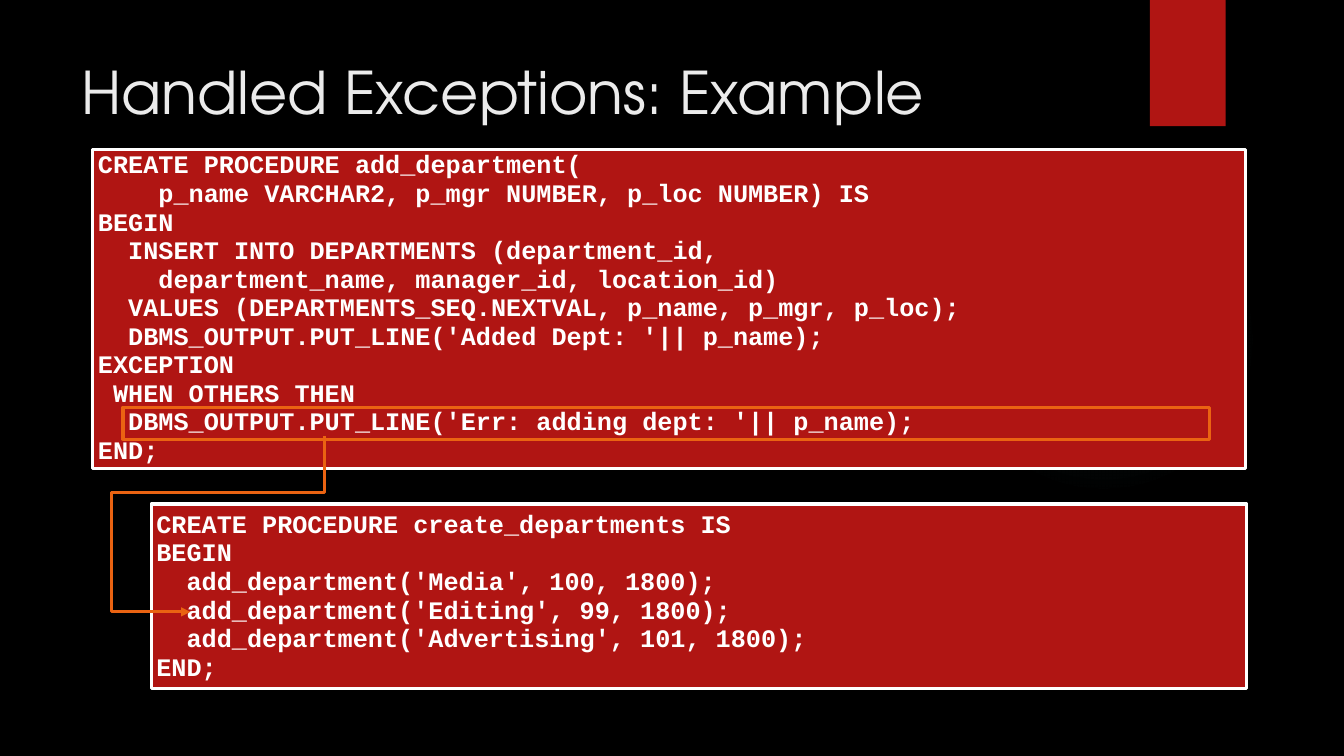
from lxml.etree import SubElement
from pptx import Presentation
from pptx.dml.color import RGBColor
from pptx.enum.shapes import MSO_SHAPE as Preset
from pptx.enum.text import MSO_ANCHOR as Anchor, PP_ALIGN as Align
from pptx.oxml import parse_xml
from pptx.oxml.ns import nsdecls, qn
from pptx.util import Cm, Pt

BLACK = RGBColor(0x00, 0x00, 0x00)
WHITE = RGBColor(0xFF, 0xFF, 0xFF)
PALE = RGBColor(0xEB, 0xEB, 0xEB)
RED = RGBColor(0xB0, 0x15, 0x13)
ORANGE = RGBColor(0xEA, 0x63, 0x12)
TEAL = RGBColor(0x50, 0xB9, 0xC1)

ADD_DEPARTMENT = """CREATE PROCEDURE add_department(
    p_name VARCHAR2, p_mgr NUMBER, p_loc NUMBER) IS
BEGIN
  INSERT INTO DEPARTMENTS (department_id,
    department_name, manager_id, location_id)
  VALUES (DEPARTMENTS_SEQ.NEXTVAL, p_name, p_mgr, p_loc);
  DBMS_OUTPUT.PUT_LINE('Added Dept: '|| p_name);
EXCEPTION
 WHEN OTHERS THEN
  DBMS_OUTPUT.PUT_LINE('Err: adding dept: '|| p_name);
END;"""

CREATE_DEPARTMENTS = """CREATE PROCEDURE create_departments IS
BEGIN
  add_department('Media', 100, 1800);
  add_department('Editing', 99, 1800);
  add_department('Advertising', 101, 1800);
END;"""


def write(frame, text, font, size, color, bold=False, spacing=1.0, after=0):
    frame.word_wrap = True
    for number, line in enumerate(text.split("\n")):
        paragraph = frame.add_paragraph() if number else frame.paragraphs[0]
        paragraph.text = line
        paragraph.alignment = Align.LEFT
        paragraph.line_spacing = spacing
        paragraph.space_after = Pt(after)
        paragraph.font.name = font
        paragraph.font.size = Pt(size)
        paragraph.font.bold = bold
        paragraph.font.color.rgb = color


def draw(preset, box, fill=None, line=None):
    shape = slide.shapes.add_shape(preset, *map(Cm, box))
    shape.shadow.inherit = False
    if fill is None:
        shape.fill.background()
    else:
        shape.fill.solid()
        shape.fill.fore_color.rgb = fill
    if line is None:
        shape.line.fill.background()
    else:
        shape.line.color.rgb = line
        shape.line.width = Pt(2.25)
    return shape


deck = Presentation()
deck.slide_width, deck.slide_height = Cm(33.87), Cm(19.05)
slide = deck.slides.add_slide(deck.slide_layouts[6])
slide.background.fill.solid()
slide.background.fill.fore_color.rgb = BLACK

glow = draw(Preset.OVAL, (23.9, 4.65, 7.82, 7.82))
stops = "".join(
    f'<a:gs pos="{position * 1000}"><a:srgbClr val="{TEAL}">'
    f'<a:alpha val="{alpha * 1000}"/></a:srgbClr></a:gs>'
    for position, alpha in ((0, 7), (36, 6), (69, 0))
)
gradient = parse_xml(
    f'<a:gradFill {nsdecls("a")}><a:gsLst>{stops}</a:gsLst><a:path path="circle">'
    '<a:fillToRect l="50000" t="50000" r="50000" b="50000"/></a:path></a:gradFill>'
)
glow_properties = glow._element.spPr
glow_properties.replace(glow_properties.find(qn("a:noFill")), gradient)

draw(Preset.RECTANGLE, (28.98, 0, 1.91, 3.18), fill=RED)

title = slide.shapes.add_textbox(Cm(1.8), Cm(1.27), Cm(26.14), Cm(3.89))
write(title.text_frame, "Handled Exceptions: Example", "TeX Gyre Adventor", 42, PALE)

for code, box, spacing, after in (
    (CREATE_DEPARTMENTS, (3.81, 12.7, 27.61, 4.65), 0.95, 0),
    (ADD_DEPARTMENT, (2.34, 3.76, 29.06, 8.05), 0.85, 2),
):
    listing = draw(Preset.RECTANGLE, box, fill=RED, line=WHITE).text_frame
    listing.vertical_anchor = Anchor.MIDDLE
    listing.margin_left = listing.margin_top = listing.margin_bottom = Cm(0.13)
    listing.margin_right = Cm(0.03)
    write(listing, code, "Courier New", 18, WHITE, bold=True, spacing=spacing, after=after)

draw(Preset.RECTANGLE, (3.1, 10.26, 27.38, 0.81), line=ORANGE)

start, *bends = [
    (Cm(x), Cm(y))
    for x, y in ((8.18, 11), (8.18, 12.42), (2.82, 12.42), (2.82, 15.42), (4.8, 15.42))
]
route = slide.shapes.build_freeform(*start)
route.add_line_segments(bends, close=False)
error_arrow = route.convert_to_shape()
error_arrow.shadow.inherit = False
error_arrow.fill.background()
error_arrow.line.color.rgb = ORANGE
error_arrow.line.width = Pt(2.25)
SubElement(error_arrow.line._get_or_add_ln(), qn("a:tailEnd"), type="triangle")

deck.save("out.pptx")
